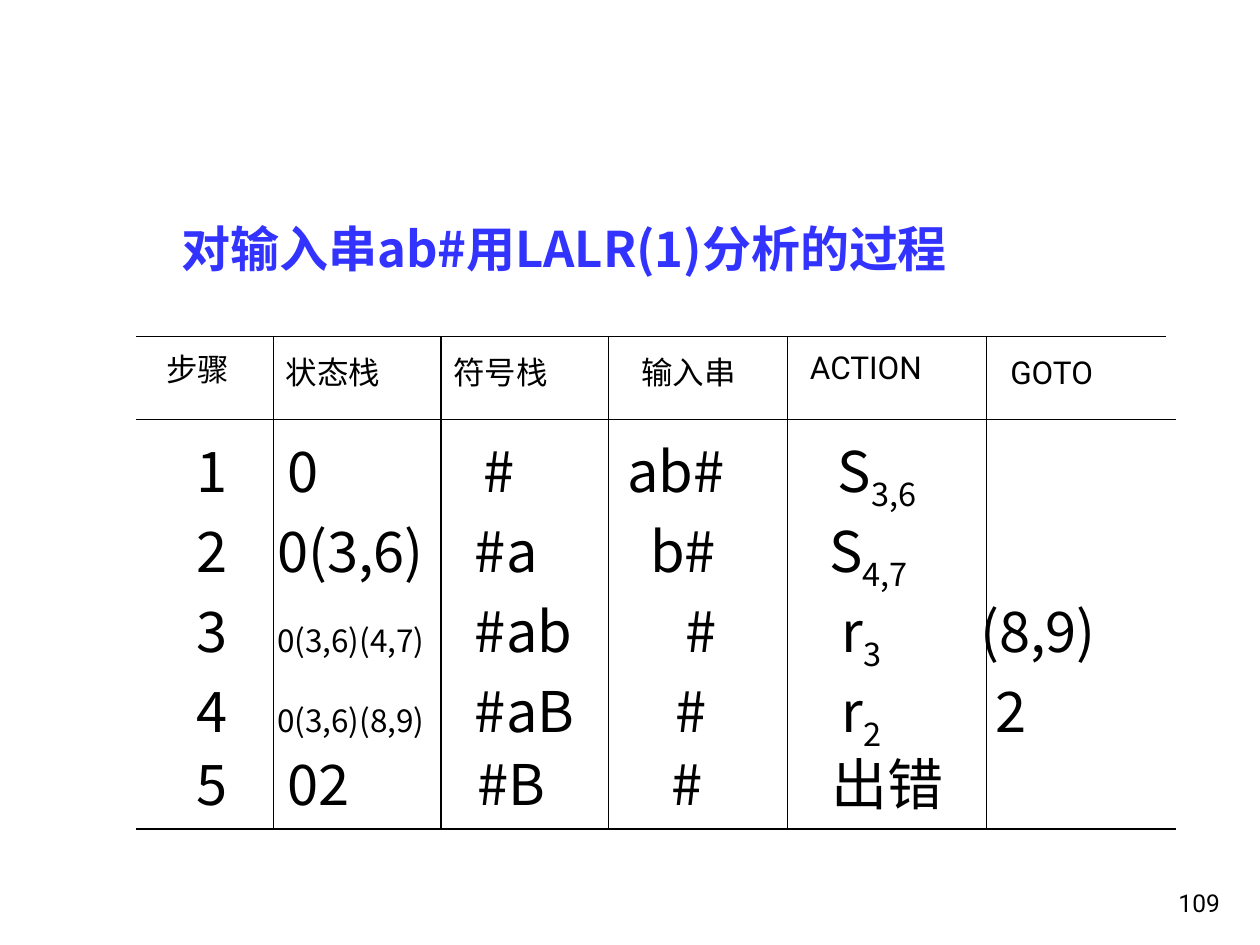
from lxml.etree import SubElement as Sub
from pptx import Presentation
from pptx.dml.color import RGBColor as RGB
from pptx.enum.shapes import MSO_CONNECTOR as Conn
from pptx.enum.text import MSO_ANCHOR as Anchor, PP_ALIGN as Align
from pptx.oxml.ns import qn
from pptx.util import Inches, Pt

BLACK = RGB(0, 0, 0)
BLUE = RGB(0x33, 0x33, 0xFF)
CJK, LATIN = "Noto Sans CJK JP", "Roboto"

TOP, MID, END = 2.67, 3.33, 6.58
LEFT = 1.08
BODY_PAD = 0.48
RULES = [(TOP, 9.25), (MID, 9.33), (END, 9.33)]
COLS = [2.17, 3.5, 4.83, 6.25, 7.83]

# left, top, width, height, wording, font
HEADS = [
    (1.22, 2.73, 0.71, 0.4, "步骤", CJK),
    (2.17, 2.75, 0.96, 0.4, "状态栈", CJK),
    (3.5, 2.75, 0.96, 0.4, "符号栈", CJK),
    (4.99, 2.75, 0.96, 0.4, "输入串", CJK),
    (6.33, 2.71, 1.46, 0.5, "ACTION", LATIN),
    (7.92, 2.75, 1.13, 0.5, "GOTO", LATIN),
]

# step, then (left edge, wording) for each cell, stack size, action subscript
STEPS = [
    ("1", [(2.28, "0"), (3.84, "#"), (4.98, "ab#"), (6.65, "S")], 32, "3,6"),
    ("2", [(2.2, "0(3,6)"), (3.77, "#a"), (5.16, "b#"), (6.58, "S")], 32, "4,7"),
    ("3", [(2.2, "0(3,6)(4,7)"), (3.77, "#ab"), (5.44, "#"), (6.68, "r"),
           (7.78, "(8,9)")], 18, "3"),
    ("4", [(2.2, "0(3,6)(8,9)"), (3.77, "#aB"), (5.36, "#"), (6.68, "r"),
           (7.9, "2")], 18, "2"),
    ("5", [(2.28, "02"), (3.79, "#B"), (5.33, "#"), (6.6, "出错")], 32, ""),
]


class Deck:
    def __init__(self):
        self.prs = Presentation()
        self.prs.slide_width, self.prs.slide_height = Inches(10), Inches(7.5)
        self.slide = self.prs.slides.add_slide(self.prs.slide_layouts[5])

    def run(self, para, text, size, face=CJK, color=BLACK, bold=False, base=0):
        run = para.add_run()
        run.text = text
        font = run.font
        font.size, font.name, font.bold = Pt(size), face, bold
        font.color.rgb = color
        props = run._r.get_or_add_rPr()
        Sub(props, qn("a:ea")).set("typeface", face)
        if base:
            props.set("baseline", str(base * 1000))

    def title(self, text, *box):
        shape = self.slide.shapes.title
        shape.left, shape.top, shape.width, shape.height = map(Inches, box)
        frame = shape.text_frame
        frame.vertical_anchor = Anchor.BOTTOM
        frame.margin_left = Inches(0.19)
        para = frame.paragraphs[0]
        para.alignment = Align.LEFT
        self.run(para, text, 28, color=BLUE, bold=True)

    def frame(self, *box):
        shape = self.slide.shapes.add_textbox(*map(Inches, box))
        shape.text_frame.word_wrap = True
        return shape.text_frame

    def label(self, box, text, size, face, align=Align.LEFT, anchor=Anchor.TOP):
        frame = self.frame(*box)
        frame.vertical_anchor = anchor
        para = frame.paragraphs[0]
        para.alignment = align
        self.run(para, text, size, face)

    def line(self, *ends):
        line = self.slide.shapes.add_connector(Conn.STRAIGHT, *map(Inches, ends))
        line.line.color.rgb = BLACK
        line.line.width = Pt(0.75)
        Sub(line._element.spPr, qn("a:effectLst"))

    def space(self, para, stops, first):
        """Set row spacing and one tab stop for each cell."""
        props = para._p.get_or_add_pPr()
        if not first:
            gap = Sub(props, qn("a:spcBef"))
            Sub(gap, qn("a:spcPct")).set("val", "20000")
        tabs = Sub(props, qn("a:tabLst"))
        for stop in stops:
            tab = Sub(tabs, qn("a:tab"))
            tab.set("pos", str(Inches(stop - LEFT - BODY_PAD)))
            tab.set("algn", "l")
        para.line_spacing = 0.9

    def steps(self, rows, *box):
        frame = self.frame(*box)
        frame.margin_left = Inches(BODY_PAD)
        for i, (step, cells, size, sub) in enumerate(rows):
            para = frame.add_paragraph() if i else frame.paragraphs[0]
            self.space(para, [x for x, _ in cells], i == 0)
            self.run(para, step, 32)
            for col, (_, text) in enumerate(cells):
                self.run(para, "\t", 32)
                self.run(para, text, 32 if col else size)
                if col == 3 and sub:
                    self.run(para, sub, 32, base=-25)


def main():
    deck = Deck()
    deck.title("对输入串ab#用LALR(1)分析的过程", 1.25, 1.04, 7.5, 1.21)
    deck.steps(STEPS, LEFT, 3.42, 8.33, 3.17)
    deck.label((7.7, 6.83, 2.08, 0.5), "109", 14, LATIN, Align.RIGHT, Anchor.BOTTOM)
    for y, right in RULES:
        deck.line(LEFT, y, right, y)
    for x in COLS:
        deck.line(x, TOP, x, END)
    for *box, text, face in HEADS:
        deck.label(box, text, 18, face)
    deck.prs.save("out.pptx")


if __name__ == "__main__":
    main()
